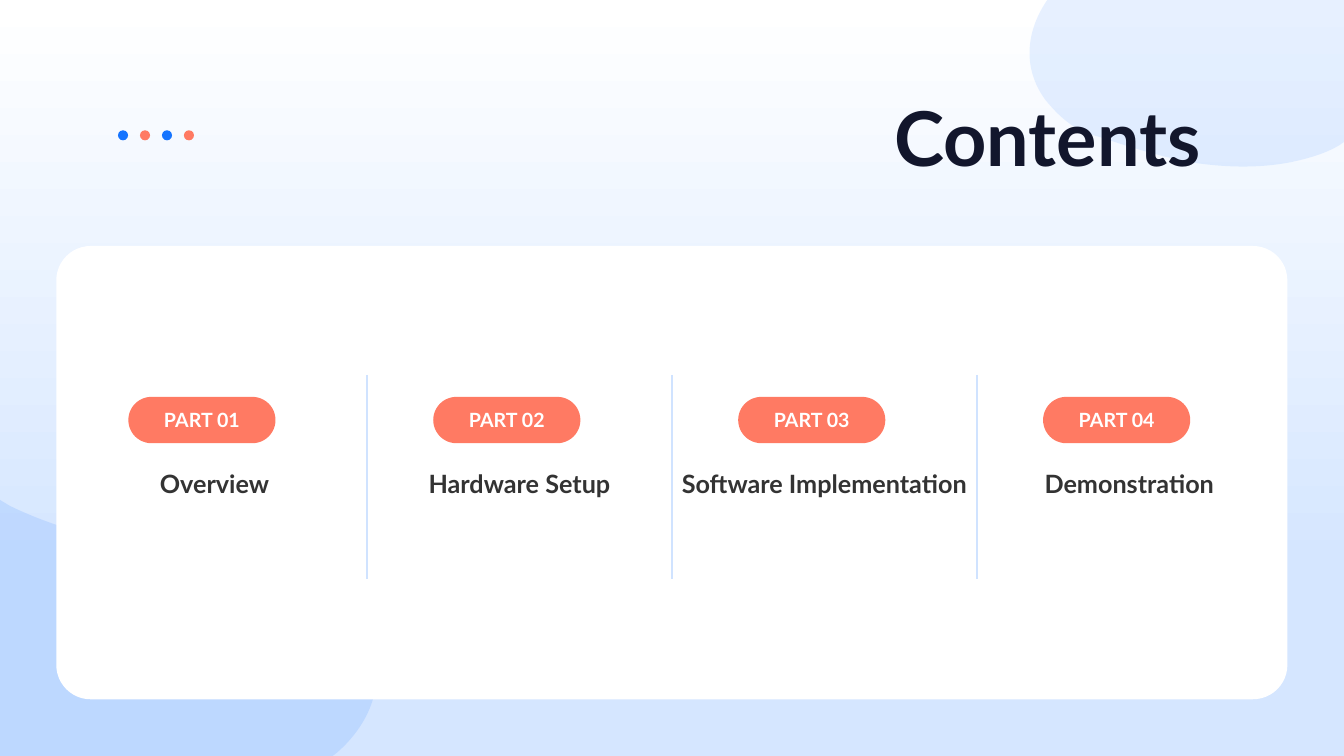
from lxml import etree
from pptx import Presentation
from pptx.dml.color import RGBColor
from pptx.enum.shapes import MSO_CONNECTOR, MSO_SHAPE
from pptx.enum.text import MSO_ANCHOR, PP_ALIGN
from pptx.oxml.ns import qn
from pptx.util import Pt

WHITE = RGBColor(0xFF, 0xFF, 0xFF)
SKY = RGBColor(0xD5, 0xE6, 0xFF)
BLOB_BLUE = RGBColor(0x60, 0xA0, 0xFF)
BLUE = RGBColor(0x15, 0x74, 0xFF)
CORAL = RGBColor(0xFF, 0x7A, 0x63)
RULE_BLUE = RGBColor(0xD0, 0xE3, 0xFF)
NAVY = RGBColor(0x12, 0x16, 0x2C)
GREY = RGBColor(0x33, 0x33, 0x33)

RECT, ROUND, OVAL = MSO_SHAPE.RECTANGLE, MSO_SHAPE.ROUNDED_RECTANGLE, MSO_SHAPE.OVAL
CENTER, RIGHT = PP_ALIGN.CENTER, PP_ALIGN.RIGHT
TOP, MIDDLE, BOTTOM = MSO_ANCHOR.TOP, MSO_ANCHOR.MIDDLE, MSO_ANCHOR.BOTTOM
STRAIGHT = MSO_CONNECTOR.STRAIGHT

WIDTH, HEIGHT = 960, 540
PARTS = ["Overview", "Hardware Setup", "Software Implementation", "Demonstration"]
COLUMN_PITCH = 217.8
DOT_PITCH = 15.7

# Outlines in points: a pair is a corner, six numbers are a cubic curve
LOWER_BOX = (0, 357.12, 269.28, 182.88)
LOWER_BLOB = [
    (0, 357.12), (7.2, 361.44),
    (32.4, 373.68, 59.04, 381.6, 86.4, 387.36),
    (131.04, 397.44, 176.4, 403.92, 217.44, 422.64),
    (232.56, 429, 247.68, 438.48, 257.76, 451.44),
    (280.08, 480.96, 265.68, 516.24, 240.48, 537.84),
    (237.6, 540), (0, 540),
]
UPPER_BOX = (735.12, 0, 224.88, 119.52)
UPPER_BLOB = [
    (748.08, 0), (960, 0), (960, 101.52),
    (959.04, 102.24, 957.6, 102.96, 956.88, 103.68),
    (949.68, 108, 941.76, 110.88, 933.84, 113.04),
    (908.64, 120.24, 881.28, 120.24, 855.36, 116.64),
    (833.04, 113.04, 811.44, 106.56, 789.84, 99.36),
    (781.92, 96.48, 774.72, 95.76, 767.52, 90.72),
    (759.6, 85.68, 753.12, 79.2, 746.64, 71.28),
    (729.36, 47.52, 733.68, 20.88, 748.08, 0),
]


def apply_format(target, values):
    for name, value in values.items():
        setattr(target, name, value)


def write(frame, text, size, color, align, anchor, wrap=True, right_inset=0):
    apply_format(frame, {
        "word_wrap": wrap, "vertical_anchor": anchor, "margin_left": 0,
        "margin_top": 0, "margin_right": Pt(right_inset), "margin_bottom": 0,
    })
    paragraph = frame.paragraphs[0]
    paragraph.alignment = align
    run = paragraph.add_run()
    run.text = text
    apply_format(run.font, {"name": "Lato", "size": Pt(size), "bold": True})
    run.font.color.rgb = color


def paint(shape, color):
    shape.shadow.inherit = False
    shape.fill.solid()
    shape.fill.fore_color.rgb = color
    shape.line.fill.background()


def add_panel(slide, kind, left, top, width, height, color, corner=None):
    panel = slide.shapes.add_shape(kind, Pt(left), Pt(top), Pt(width), Pt(height))
    paint(panel, color)
    if corner is not None:
        panel.adjustments[0] = corner
    return panel


def add_backdrop(slide):
    backdrop = add_panel(slide, RECT, 0, 0, WIDTH, HEIGHT, WHITE)
    backdrop.fill.gradient()
    backdrop.fill.gradient_angle = 270
    stops = zip(backdrop.fill.gradient_stops, [(0, WHITE), (0.75, SKY)])
    for stop, (position, color) in stops:
        stop.position = position
        stop.color.rgb = color


def add_blob(slide, box, outline, opacity):
    left, top, width, height = box
    right, bottom = left + width, top + height
    builder = slide.shapes.build_freeform(Pt(left), Pt(top))
    builder.add_line_segments(
        [(Pt(right), Pt(top)), (Pt(right), Pt(bottom)), (Pt(left), Pt(bottom))])
    blob = builder.convert_to_shape()
    paint(blob, BLOB_BLUE)
    color = next(blob._element.spPr.iter(qn("a:srgbClr")))
    etree.SubElement(color, qn("a:alpha")).set("val", str(opacity * 1000))

    # Curved outline inside the frame
    contour = next(blob._element.spPr.iter(qn("a:path")))
    for segment in list(contour):
        contour.remove(segment)
    for i, step in enumerate(outline):
        tag = "a:moveTo" if i == 0 else "a:lnTo" if len(step) == 2 else "a:cubicBezTo"
        segment = etree.SubElement(contour, qn(tag))
        for x, y in zip(step[::2], step[1::2]):
            point = etree.SubElement(segment, qn("a:pt"))
            point.set("x", str(Pt(x - left)))
            point.set("y", str(Pt(y - top)))
    etree.SubElement(contour, qn("a:close"))


def add_divider(slide, x):
    divider = slide.shapes.add_connector(STRAIGHT, Pt(x), Pt(267.84), Pt(x), Pt(413.5))
    divider.line.color.rgb = RULE_BLUE
    divider.line.width = Pt(1.25)
    etree.SubElement(divider._element.spPr, qn("a:effectLst"))


def add_name(slide, index, name):
    label = slide.shapes.add_textbox(
        Pt(50.3 + index * COLUMN_PITCH), Pt(334.8), Pt(205.92), Pt(111.6))
    write(label.text_frame, name, 18, GREY, CENTER, TOP)


def add_badge(slide, index):
    left = 91.7 + index * COLUMN_PITCH
    badge = add_panel(slide, ROUND, left, 283.5, 105.12, 33.12, CORAL, 0.5)
    write(badge.text_frame, f"PART {index + 1:02}", 14, WHITE, CENTER, MIDDLE, wrap=False)


def place_title(slide):
    title = slide.shapes.title
    apply_format(title, {
        "left": Pt(408.24), "top": Pt(44.64), "width": Pt(462.24), "height": Pt(84.96),
    })
    write(title.text_frame, "Contents", 54, NAVY, RIGHT, BOTTOM, right_inset=12.9)
    # Bring the title in front of the backdrop
    slide.shapes._spTree.append(title._element)


def main():
    deck = Presentation()
    deck.slide_width, deck.slide_height = Pt(WIDTH), Pt(HEIGHT)
    slide = deck.slides.add_slide(deck.slide_layouts[5])

    # Backdrop and card
    add_backdrop(slide)
    add_blob(slide, LOWER_BOX, LOWER_BLOB, 20)
    add_blob(slide, UPPER_BOX, UPPER_BLOB, 15)
    add_panel(slide, ROUND, 40.2, 175.68, 879.4, 323.8, WHITE, 0.076)

    # Header
    for i, color in enumerate([BLUE, CORAL] * 2):
        add_panel(slide, OVAL, 84.3 + i * DOT_PITCH, 93.1, 7.2, 7.2, color)
    place_title(slide)

    # Columns
    for i in range(len(PARTS) - 1):
        add_divider(slide, 262.2 + i * COLUMN_PITCH)
    for i, name in enumerate(PARTS):
        add_name(slide, i, name)
    for i in range(len(PARTS)):
        add_badge(slide, i)

    deck.save("out.pptx")


if __name__ == "__main__":
    main()
